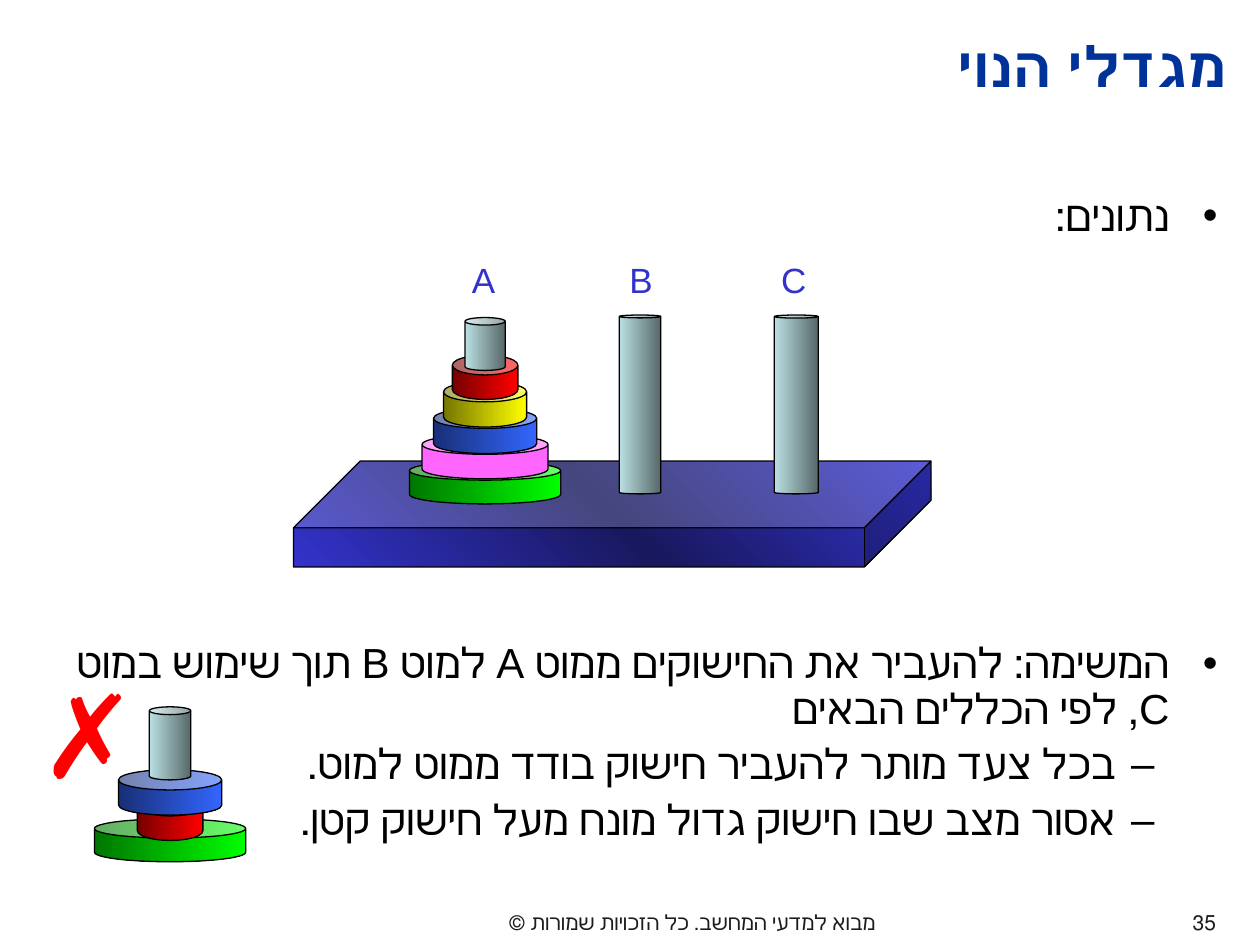
from copy import deepcopy
from dataclasses import dataclass

from lxml.etree import SubElement
from pptx import Presentation
from pptx.dml.color import RGBColor
from pptx.enum.shapes import MSO_SHAPE as SHAPE
from pptx.enum.text import MSO_ANCHOR as ANCHOR, PP_ALIGN as ALIGN
from pptx.oxml.ns import qn
from pptx.util import Emu, Pt

PX = 9144  # 100 px to the inch


@dataclass(frozen=True)
class Theme:
    font: str = "Arial"
    title: str = "003399"
    text: str = "000000"
    footer: str = "1C1C1C"
    label: str = "3333CC"
    cross: str = "FF0000"
    outline: str = "000000"
    board: tuple = ("3333CC", "18185E", "3333CC")
    rod: tuple = ("BBE0E3", "576869")
    green: tuple = ("007600", "00FF00")
    pink: tuple = ("FF66FF",)
    blue: tuple = ("182F76", "3366FF")
    yellow: tuple = ("767600", "FFFF00")
    red: tuple = ("760000", "FF0000")
    title_size: int = 32
    body_size: int = 24
    label_size: int = 20
    footer_size: int = 12
    cross_size: int = 66


T = Theme()

# width, height, colours
GREEN = (120, 34, T.green)
PINK = (100, 35, T.pink)
BLUE = (82, 36, T.blue)
YELLOW = (66, 36, T.yellow)
RED = (52, 35, T.red)


def px(*lengths):
    return [Emu(round(n * PX)) for n in lengths]


def add_run(p, text, size, color, bold=False):
    r = p.add_run()
    r.text = text
    r.font.size = Pt(size)
    r.font.bold = bold
    r.font.color.rgb = RGBColor.from_string(color)
    r.font.name = T.font


def set_rtl(p, align):
    p.alignment = align
    p._p.get_or_add_pPr().set("rtl", "1")


def add_frame(slide, box, wrap=True, anchor=ANCHOR.TOP):
    tf = slide.shapes.add_textbox(*px(*box)).text_frame
    tf.word_wrap = wrap
    tf.vertical_anchor = anchor
    return tf


def add_line(slide, box, text, size, color, align, bold=False, **frame):
    p = add_frame(slide, box, **frame).paragraphs[0]
    set_rtl(p, align)
    add_run(p, text, size, color, bold)


def set_bullet(p, char, margin, hanging):
    pPr = p._p.get_or_add_pPr()
    pPr.set("marL", str(margin * PX))
    pPr.set("indent", str(-hanging * PX))
    SubElement(SubElement(pPr, qn("a:buClr")), qn("a:srgbClr"), val=T.text)
    SubElement(pPr, qn("a:buFont"), typeface=T.font)
    SubElement(pPr, qn("a:buChar"), char=char)


def add_bullets(slide, box, items):
    """Items are (level, text) pairs."""
    styles = [("•", 38, 38), ("–", 81, 31)]
    tf = add_frame(slide, box)
    for i, (level, text) in enumerate(items):
        p = tf.add_paragraph() if i else tf.paragraphs[0]
        set_bullet(p, *styles[level])
        set_rtl(p, ALIGN.RIGHT)
        p.level = level
        p.line_spacing = 0.9
        p.space_before = Pt(6 if i else 0)
        add_run(p, text, T.body_size, T.text)


def paint(sp, colors, angle):
    """One colour gives a solid fill, more give evenly spaced gradient stops."""
    fill = sp.fill
    if len(colors) == 1:
        fill.solid()
        fill.fore_color.rgb = RGBColor.from_string(colors[0])
        return
    fill.gradient()
    fill.gradient_angle = angle
    stops = sp._element.spPr.find(".//" + qn("a:gsLst"))
    for _ in colors[2:]:
        stops.append(deepcopy(stops[0]))
    for i, (stop, color) in enumerate(zip(fill.gradient_stops, colors)):
        stop.position = i / (len(colors) - 1)
        stop.color.rgb = RGBColor.from_string(color)


def add_solid(slide, kind, box, adj, colors, angle=0):
    sp = slide.shapes.add_shape(kind, *px(*box))
    sp.shadow.inherit = False
    sp.adjustments[0] = adj
    paint(sp, colors, angle)
    sp.line.color.rgb = RGBColor.from_string(T.outline)
    sp.line.width = Pt(0.75)


def add_can(slide, cx, top, w, h, colors, adj):
    add_solid(slide, SHAPE.CAN, (cx - w / 2, top, w, h), adj, colors)


def add_tower(slide, cx, rings, tops, rod):
    """Stack rings from the bottom up; rod is (top, width, height)."""
    for (w, h, colors), top in zip(rings, tops):
        add_can(slide, cx, top, w, h, colors, 0.445)
    add_can(slide, cx, *rod, T.rod, 0.188)


def add_hanoi(slide, box):
    """Draw the board with its three labelled rods."""
    x, y, w, h = box
    add_solid(slide, SHAPE.CUBE, (x, y + h - 84, w, 84), 0.63, T.board, 45)
    add_tower(slide, x + 152, [GREEN, PINK, BLUE, YELLOW, RED],
              range(y + 166, y + 81, -21), (y + 52, 32, 42))
    for cx, rod_w in ((x + 275, 33), (x + 399, 35)):
        add_can(slide, cx, y + 50, rod_w, 142, T.rod, 0.07)
    for name, cx in zip("ABC", (152, 277, 399)):
        add_line(slide, (x + cx - 18, y, 36, 44), name, T.label_size, T.label,
                 ALIGN.CENTER, wrap=False)


def add_forbidden(slide, box):
    """Draw the illegal stack with a cross beside it."""
    x, y, w, h = box
    add_tower(slide, x + 113, [GREEN, RED, BLUE], (y + 129, y + 111, y + 90),
              (y + 40, 33, 58))
    p = add_frame(slide, (x, y, 75, 120), wrap=False).paragraphs[0]
    p.alignment = ALIGN.CENTER
    add_run(p, "✗", T.cross_size, T.cross)


def add_footer(slide, box):
    x, y, w, h = box
    add_line(slide, (x, y, 733, h), "מבוא למדעי המחשב. כל הזכויות שמורות ©",
             T.footer_size, T.footer, ALIGN.CENTER)
    add_line(slide, (x + w - 50, y, 50, h), "35",
             T.footer_size, T.footer, ALIGN.RIGHT)


def main():
    prs = Presentation()
    prs.slide_width, prs.slide_height = px(1000, 750)
    slide = prs.slides.add_slide(prs.slide_layouts[6])

    add_footer(slide, (183, 717, 792, 33))
    add_line(slide, (158, 7, 826, 90), "מגדלי הנוי", T.title_size, T.title,
             ALIGN.RIGHT, bold=True, anchor=ANCHOR.MIDDLE)
    add_bullets(slide, (30, 150, 946, 45), [(0, "נתונים:")])
    add_bullets(slide, (30, 505, 946, 186), [
        (0, "המשימה: להעביר את החישוקים ממוט A למוט B תוך שימוש במוט C, "
            "לפי הכללים הבאים"),
        (1, "בכל צעד מותר להעביר חישוק בודד ממוט למוט."),
        (1, "אסור מצב שבו חישוק גדול מונח מעל חישוק קטן."),
    ])
    add_hanoi(slide, (233, 200, 506, 250))
    add_forbidden(slide, (22, 521, 173, 163))

    prs.save("out.pptx")


if __name__ == "__main__":
    main()
